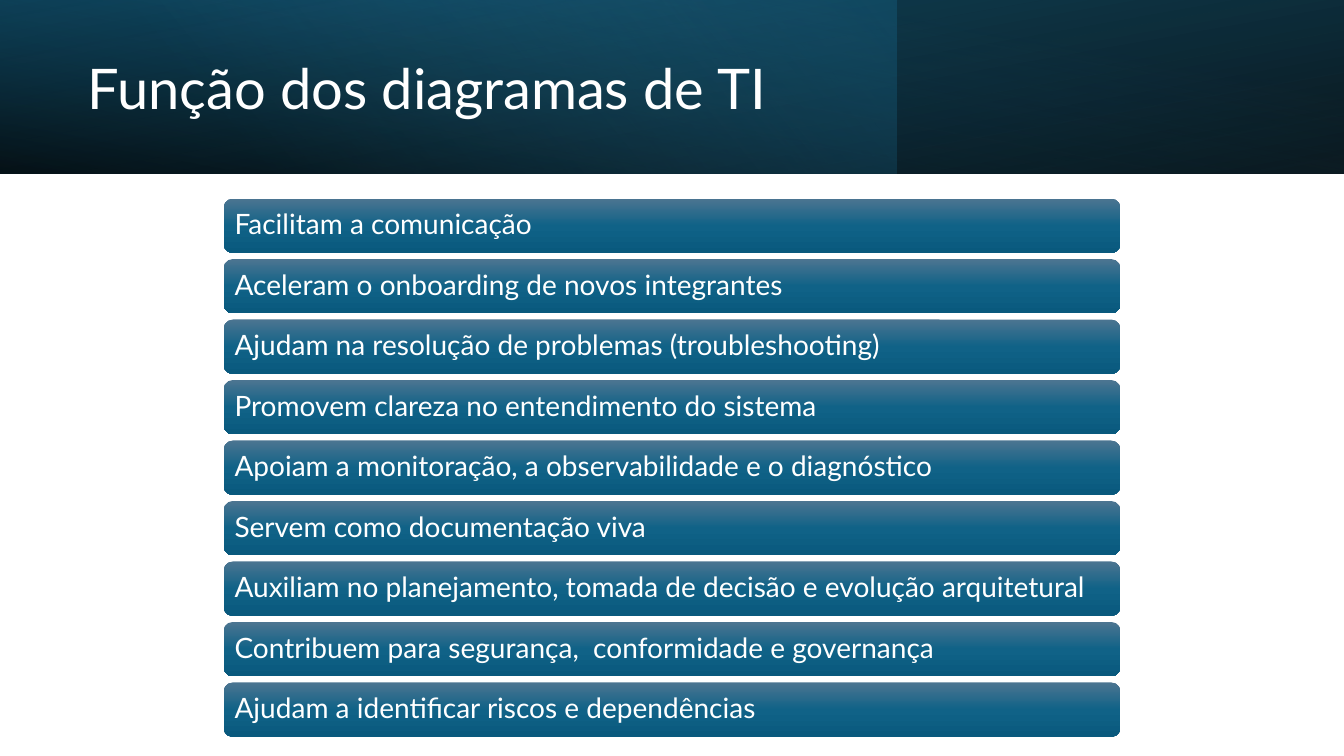
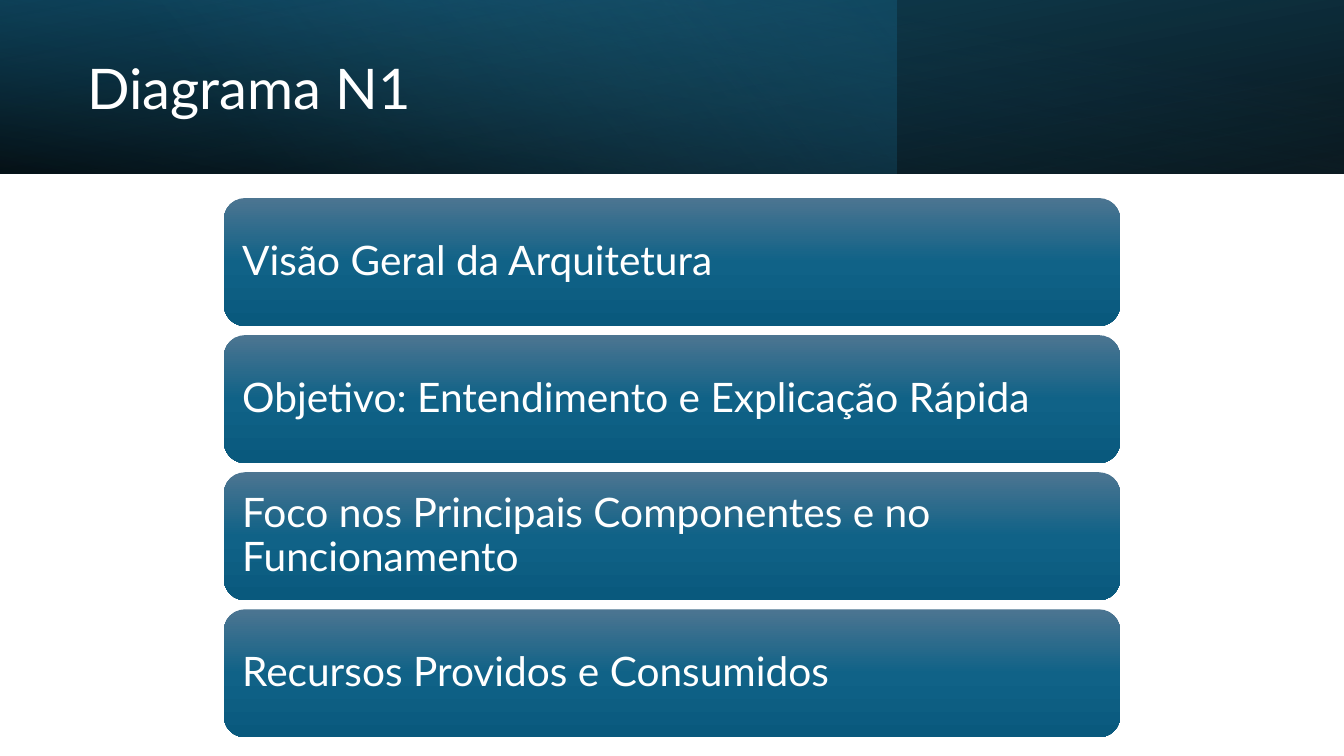
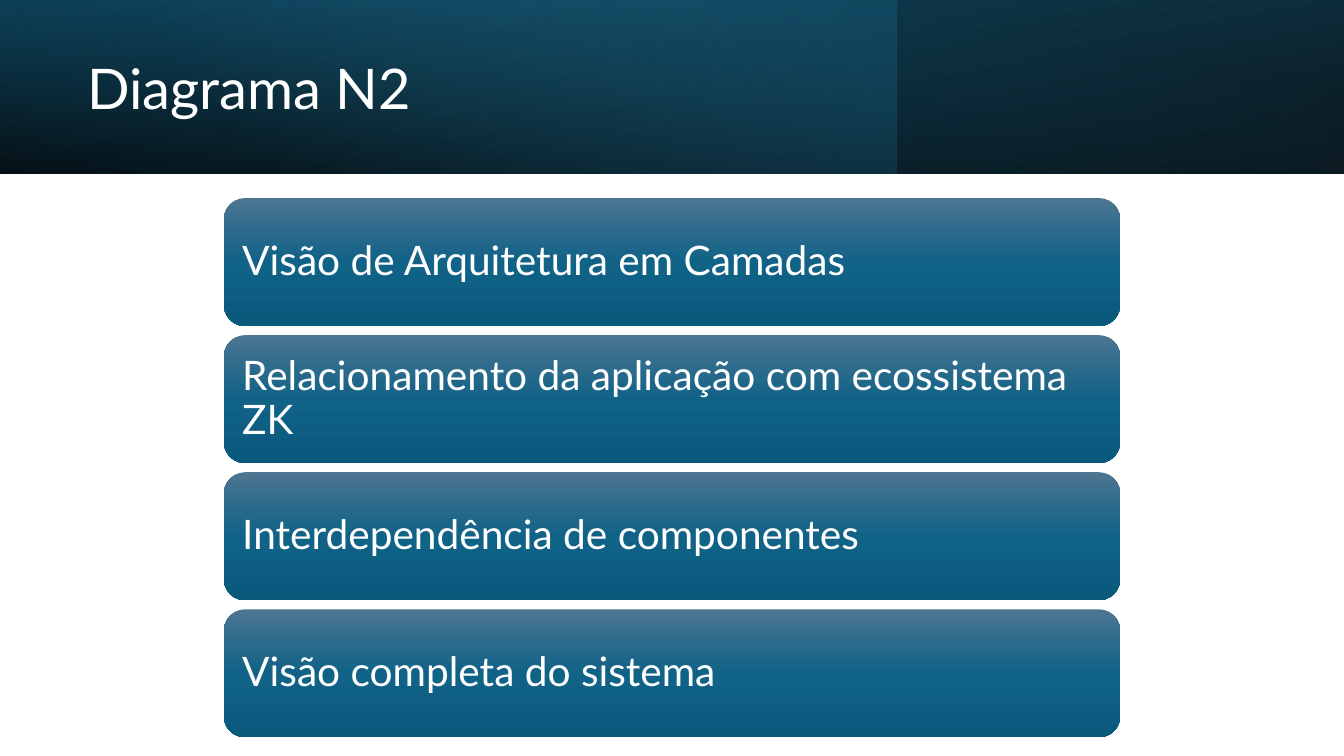
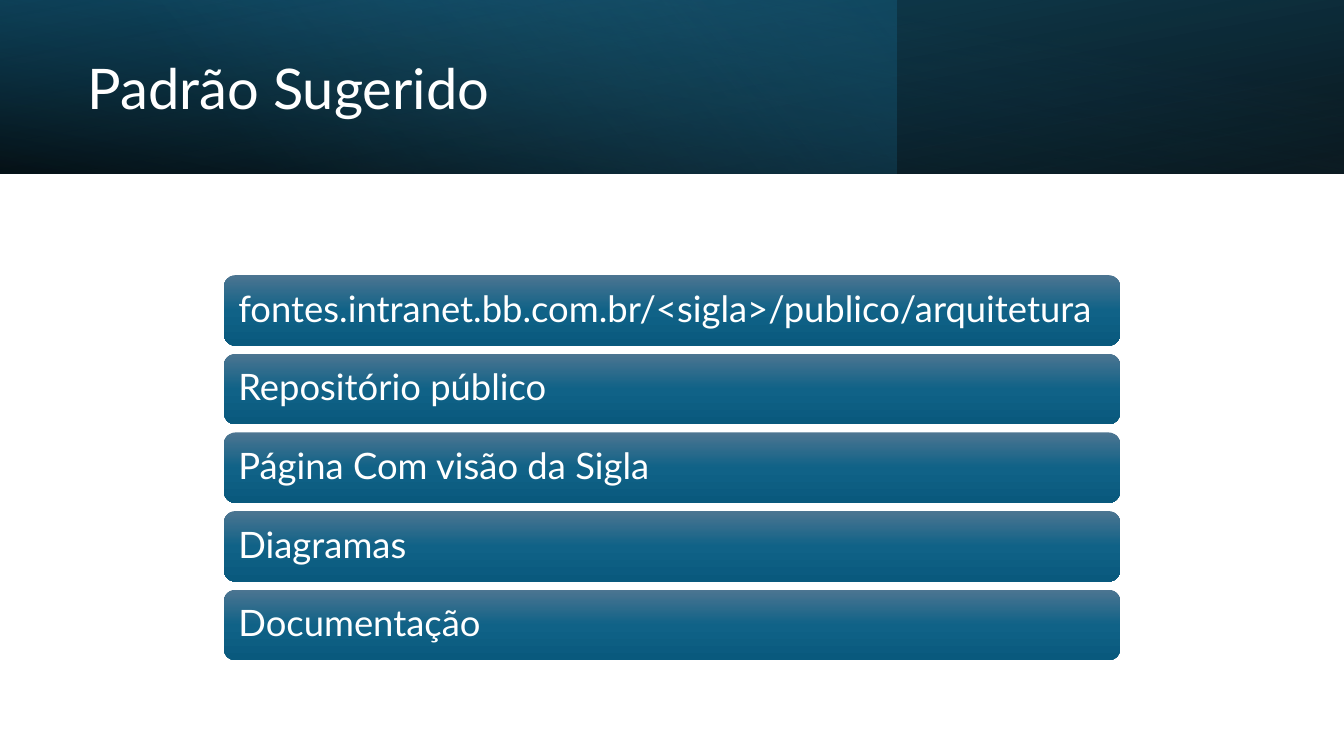
from pptx import Presentation
from pptx.dml.color import RGBColor
from pptx.enum.shapes import MSO_SHAPE as Shape
from pptx.enum.text import MSO_ANCHOR as Anchor, PP_ALIGN as Align
from pptx.oxml import parse_xml
from pptx.oxml.ns import nsdecls
from pptx.util import Inches, Pt

COLORS = {
    "white": "FFFFFF",
    "black": "000000",
    "navy": "104862",
    "teal": "156082",
    "sky": "46B1E1",
    "bar_top": "4C7591",
    "bar_middle": "106287",
    "bar_bottom": "09597D",
}
FONT = "Lato"
SLIDE_WIDTH, SLIDE_HEIGHT = 13.33, 7.5
BAND_HEIGHT = 1.72
BAR_LEFT, BAR_WIDTH, BARS_CENTER = 2.22, 8.89, 4.64

# Gradient stops are (position %, colour, opacity %).
BANDS = [
    {"width": SLIDE_WIDTH, "rotation": 180, "flip": True, "angle": 100,
     "stops": [(0, "black", 96), (100, "navy", 100)]},
    {"width": 8.89, "rotation": 0, "flip": False, "angle": 140,
     "stops": [(0, "teal", 41), (74, "sky", 0)]},
    {"width": SLIDE_WIDTH, "rotation": 0, "flip": True, "angle": 260,
     "stops": [(0, "black", 63), (78, "teal", 15)]},
]
BAR_STOPS = [(0, "bar_top", 100), (50, "bar_middle", 100), (100, "bar_bottom", 100)]

NINE_BARS = {"height": 0.54, "gap": 0.06, "inset": 0.08, "size": 20}
FOUR_BARS = {"height": 1.27, "gap": 0.09, "inset": 0.12, "size": 29}
FIVE_BARS = {"height": 0.7, "gap": 0.08, "inset": 0.11, "size": 26}

PAGES = [
    ("Função dos diagramas de TI", NINE_BARS, [
        "Facilitam a comunicação",
        "Aceleram o onboarding de novos integrantes",
        "Ajudam na resolução de problemas (troubleshooting)",
        "Promovem clareza no entendimento do sistema",
        "Apoiam a monitoração, a observabilidade e o diagnóstico",
        "Servem como documentação viva",
        "Auxiliam no planejamento, tomada de decisão e evolução arquitetural",
        "Contribuem para segurança,  conformidade e governança",
        "Ajudam a identificar riscos e dependências",
    ]),
    ("Diagrama N1", FOUR_BARS, [
        "Visão Geral da Arquitetura",
        "Objetivo: Entendimento e Explicação Rápida",
        "Foco nos Principais Componentes e no Funcionamento",
        "Recursos Providos e Consumidos",
    ]),
    ("Diagrama N2", FOUR_BARS, [
        "Visão de Arquitetura em Camadas",
        "Relacionamento da aplicação com ecossistema ZK",
        "Interdependência de componentes",
        "Visão completa do sistema",
    ]),
    ("Padrão Sugerido", FIVE_BARS, [
        "fontes.intranet.bb.com.br/<sigla>/publico/arquitetura",
        "Repositório público",
        "Página Com visão da Sigla",
        "Diagramas",
        "Documentação",
    ]),
]


def add_gradient_shape(page, kind, left, top, width, height, stops, angle):
    """Add a shape without outline; the angle runs clockwise from the left edge."""
    shape = page.shapes.add_shape(
        kind, Inches(left), Inches(top), Inches(width), Inches(height))
    shape.shadow.inherit = False
    shape.line.fill.background()
    stop_xml = "".join(
        f'<a:gs pos="{position * 1000}"><a:srgbClr val="{COLORS[color]}">'
        f'<a:alpha val="{opacity * 1000}"/></a:srgbClr></a:gs>'
        for position, color, opacity in stops)
    gradient = parse_xml(
        f'<a:gradFill {nsdecls("a")} rotWithShape="1"><a:gsLst>{stop_xml}</a:gsLst>'
        f'<a:lin ang="{angle * 60000}" scaled="0"/></a:gradFill>')
    shape.fill.background()
    properties = shape.element.spPr
    properties.replace(properties.eFill if hasattr(properties, "eFill")
                       else properties.find("{*}noFill"), gradient)
    return shape


def write_text(box, text, size, inset):
    frame = box.text_frame
    frame.word_wrap = True
    frame.vertical_anchor = Anchor.MIDDLE
    for side in ("left", "top", "right", "bottom"):
        setattr(frame, f"margin_{side}", Inches(inset))
    para = frame.paragraphs[0]
    para.text = text
    para.alignment = Align.LEFT
    para.line_spacing = 0.9
    for name, value in {"name": FONT, "size": Pt(size)}.items():
        setattr(para.font, name, value)
    para.font.color.rgb = RGBColor.from_string(COLORS["white"])


deck = Presentation()
deck.slide_width = Inches(SLIDE_WIDTH)
deck.slide_height = Inches(SLIDE_HEIGHT)

for title, style, labels in PAGES:
    page = deck.slides.add_slide(deck.slide_layouts[6])

    for band in BANDS:
        shape = add_gradient_shape(page, Shape.RECTANGLE, 0, 0, band["width"],
                                   BAND_HEIGHT, band["stops"], band["angle"])
        shape.rotation = band["rotation"]
        if band["flip"]:
            shape.element.spPr.xfrm.set("flipH", "1")

    title_box = page.shapes.add_textbox(
        Inches(0.77), Inches(0.27), Inches(7.72), Inches(1.27))
    write_text(title_box, title, 40, 0.1)

    pitch = style["height"] + style["gap"]
    first_top = BARS_CENTER - (len(labels) * pitch - style["gap"]) / 2
    for index, label in enumerate(labels):
        bar = add_gradient_shape(page, Shape.ROUNDED_RECTANGLE, BAR_LEFT,
                                 first_top + index * pitch, BAR_WIDTH,
                                 style["height"], BAR_STOPS, 90)
        write_text(bar, label, style["size"], style["inset"])

deck.save("out.pptx")
